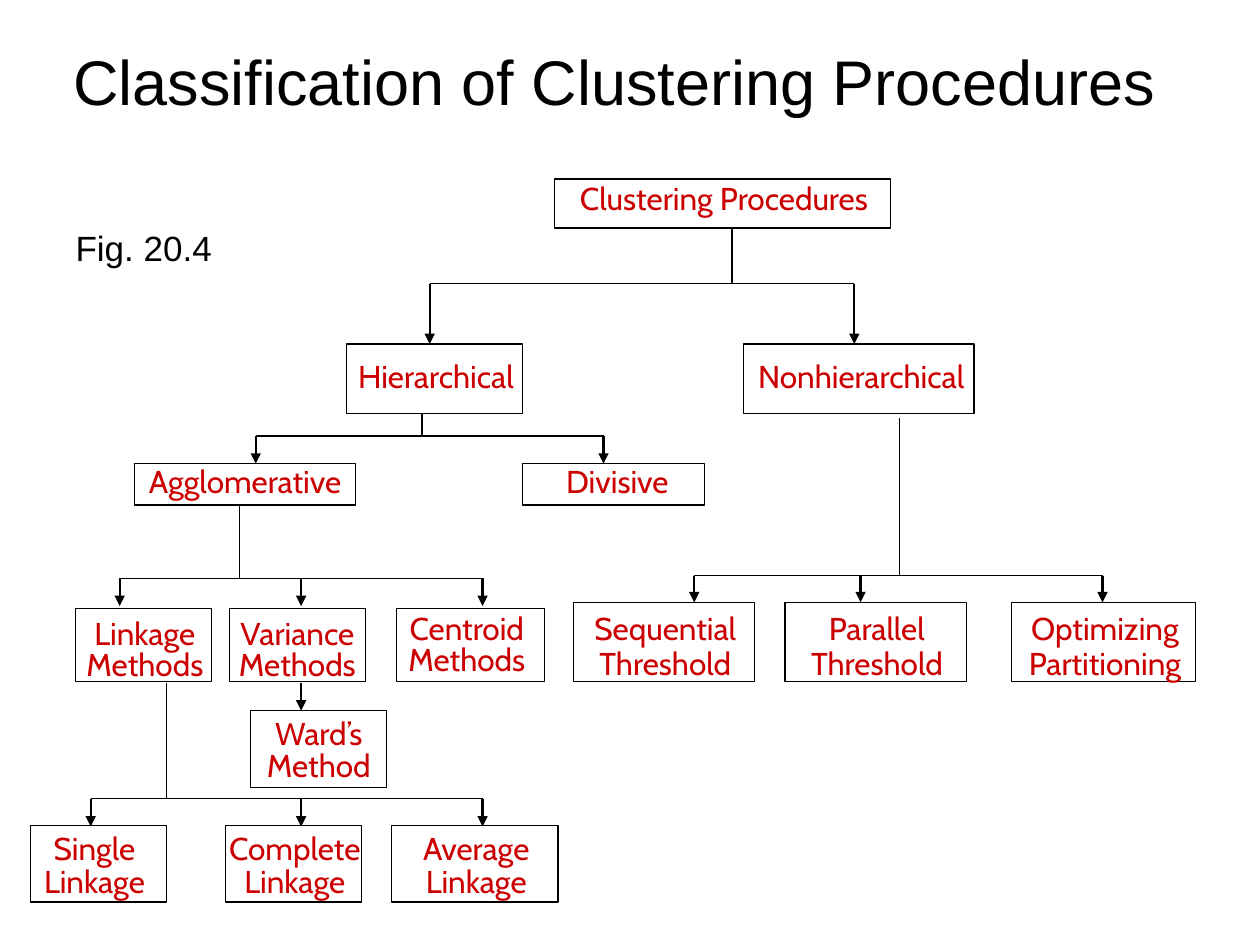
from dataclasses import dataclass

import lxml.etree
import pptx
import pptx.dml.color
import pptx.enum.shapes
import pptx.enum.text
import pptx.oxml.ns
import pptx.util

qn = pptx.oxml.ns.qn
COLUMNS, ROWS = 10, 7.5  # slide grid, one inch to a cell


@dataclass(frozen=True)
class Theme:
    ink: str = "000000"
    label: str = "CC0000"
    heading_font: str = "Arial"
    label_font: str = "Cabin"
    title_size: float = 36
    caption_size: float = 20
    label_size: float = 18
    line_height: float = 0.3  # natural height of a label line, in rows
    line_width: float = 0.75
    arrow_width: float = 1.25


THEME = Theme()

# Each level: top, height, text offset, line pitch,
# then boxes as (left, width, label lines, sideways shift, upward shift)
LEVELS = [
    (1.42, 0.39, 0, 0.3, [(4.4, 2.67, ["Clustering Procedures"], 0.01, 0)]),
    (2.73, 0.55, 0.1, 0.3, [
        (2.75, 1.4, ["Hierarchical"], 0.01, 0),
        (5.9, 1.83, ["Nonhierarchical"], 0.02, 0)]),
    (3.68, 0.33, -0.01, 0.3, [
        (1.07, 1.75, ["Agglomerative"], 0, 0),
        (4.15, 1.44, ["Divisive"], 0.03, 0)]),
    (4.78, 0.63, 0.05, 0.28, [
        (4.55, 1.44, ["Sequential", "Threshold"], 0.01, 0),
        (6.23, 1.44, ["Parallel", "Threshold"], 0.01, 0),
        (8.03, 1.46, ["Optimizing", "Partitioning"], 0.01, 0)]),
    (4.83, 0.58, 0.04, 0.25, [
        (0.6, 1.08, ["Linkage", "Methods"], 0.01, 0),
        (1.82, 1.08, ["Variance", "Methods"], 0, 0),
        (3.15, 1.17, ["Centroid", "Methods"], -0.03, 0.04)]),
    (5.64, 0.61, 0.03, 0.25, [(1.99, 1.08, ["Ward’s", "Method"], 0, 0)]),
    (6.55, 0.61, 0.03, 0.26, [
        (0.24, 1.08, ["Single", "Linkage"], -0.03, 0),
        (1.79, 1.08, ["Complete", "Linkage"], 0.01, 0),
        (3.11, 1.32, ["Average", "Linkage"], 0.01, 0)]),
]

# Each fork: stem column, stem top, crossbar row, arrow columns, tip row
FORKS = [
    (5.81, 1.81, 2.25, [3.41, 6.78], 2.73),
    (3.35, 3.28, 3.46, [2.03, 4.79], 3.68),
    (7.14, 3.32, 4.57, [5.51, 6.83, 8.75], 4.78),
    (1.9, 4.01, 4.59, [0.95, 2.39, 3.83], 4.81),
    (1.32, 5.42, 6.34, [0.72, 2.39, 3.83], 6.56),
]


def cells(*counts):
    return [pptx.util.Inches(count) for count in counts]


def rgb(value):
    return pptx.dml.color.RGBColor.from_string(value)


def format_runs(para, font_name, size, color):
    for span in para.runs:
        span.font.name = font_name
        span.font.size = pptx.util.Pt(size)
        span.font.color.rgb = rgb(color)


def fill_placeholder(holder, text, bounds, size, alignment, anchor):
    holder.left, holder.top, holder.width, holder.height = cells(*bounds)
    frame = holder.text_frame
    frame.text = text
    frame.word_wrap = True
    frame.auto_size = pptx.enum.text.MSO_AUTO_SIZE.NONE
    frame.vertical_anchor = anchor
    para = frame.paragraphs[0]
    para.alignment = alignment
    format_runs(para, THEME.heading_font, size, THEME.ink)
    return para


def add_headings(page):
    align = pptx.enum.text.PP_ALIGN
    anchor = pptx.enum.text.MSO_ANCHOR
    fill_placeholder(page.shapes.title, "Classification of Clustering Procedures",
                     (0.25, 0.33, 9.25, 0.61), THEME.title_size, align.CENTER, anchor.MIDDLE)
    caption = fill_placeholder(page.placeholders[1], "Fig. 20.4",
                               (0.5, 1.75, 1.58, 0.45), THEME.caption_size, align.LEFT, anchor.TOP)
    caption.space_before = pptx.util.Pt(5)
    # Caption without a bullet
    properties = caption._p.get_or_add_pPr()
    properties.set("marL", "0")
    properties.set("indent", "0")
    lxml.etree.SubElement(properties, qn("a:buNone"))


def add_box(page, bounds, lines, text_top, pitch, shift):
    box = page.shapes.add_shape(pptx.enum.shapes.MSO_SHAPE.RECTANGLE, *cells(*bounds))
    box.shadow.inherit = False
    box.fill.background()
    box.line.color.rgb = rgb(THEME.ink)
    box.line.width = pptx.util.Pt(THEME.line_width)
    frame = box.text_frame
    frame.word_wrap = False
    frame.vertical_anchor = pptx.enum.text.MSO_ANCHOR.TOP
    # Tighter lines lose height above the text, so the top inset makes up for it
    frame.margin_left, frame.margin_top, frame.margin_right, frame.margin_bottom = cells(
        max(2 * shift, 0), text_top + THEME.line_height - pitch, max(-2 * shift, 0), 0)
    frame.text = "\n".join(lines)
    for para in frame.paragraphs:
        para.alignment = pptx.enum.text.PP_ALIGN.CENTER
        if len(lines) > 1:
            para.line_spacing = pptx.util.Pt(round(pitch * 72, 1))
        format_runs(para, THEME.label_font, THEME.label_size, THEME.label)


def add_line(page, start, end, arrow=False):
    line = page.shapes.add_connector(
        pptx.enum.shapes.MSO_CONNECTOR.STRAIGHT, *cells(*start, *end))
    line.line.color.rgb = rgb(THEME.ink)
    line.line.width = pptx.util.Pt(THEME.arrow_width if arrow else THEME.line_width)
    if arrow:
        lxml.etree.SubElement(line.line._get_or_add_ln(), qn("a:tailEnd"), type="triangle")
    lxml.etree.SubElement(line._element.spPr, qn("a:effectLst"))


def add_fork(page, stem, top, bar, branches, tip):
    add_line(page, (stem, top), (stem, bar))
    add_line(page, (branches[0], bar), (branches[-1], bar))
    for column in branches:
        add_line(page, (column, bar), (column, tip), arrow=True)


def main():
    deck = pptx.Presentation()
    deck.slide_width, deck.slide_height = cells(COLUMNS, ROWS)
    page = deck.slides.add_slide(deck.slide_layouts[1])
    add_headings(page)
    # Connecting lines
    for fork in FORKS:
        add_fork(page, *fork)
    add_line(page, (2.39, 5.42), (2.39, 5.64), arrow=True)
    # Labelled boxes
    for top, height, offset, pitch, boxes in LEVELS:
        for left, width, lines, shift, lift in boxes:
            add_box(page, (left, top, width, height), lines, offset - lift, pitch, shift)
    deck.save("out.pptx")


if __name__ == "__main__":
    main()
